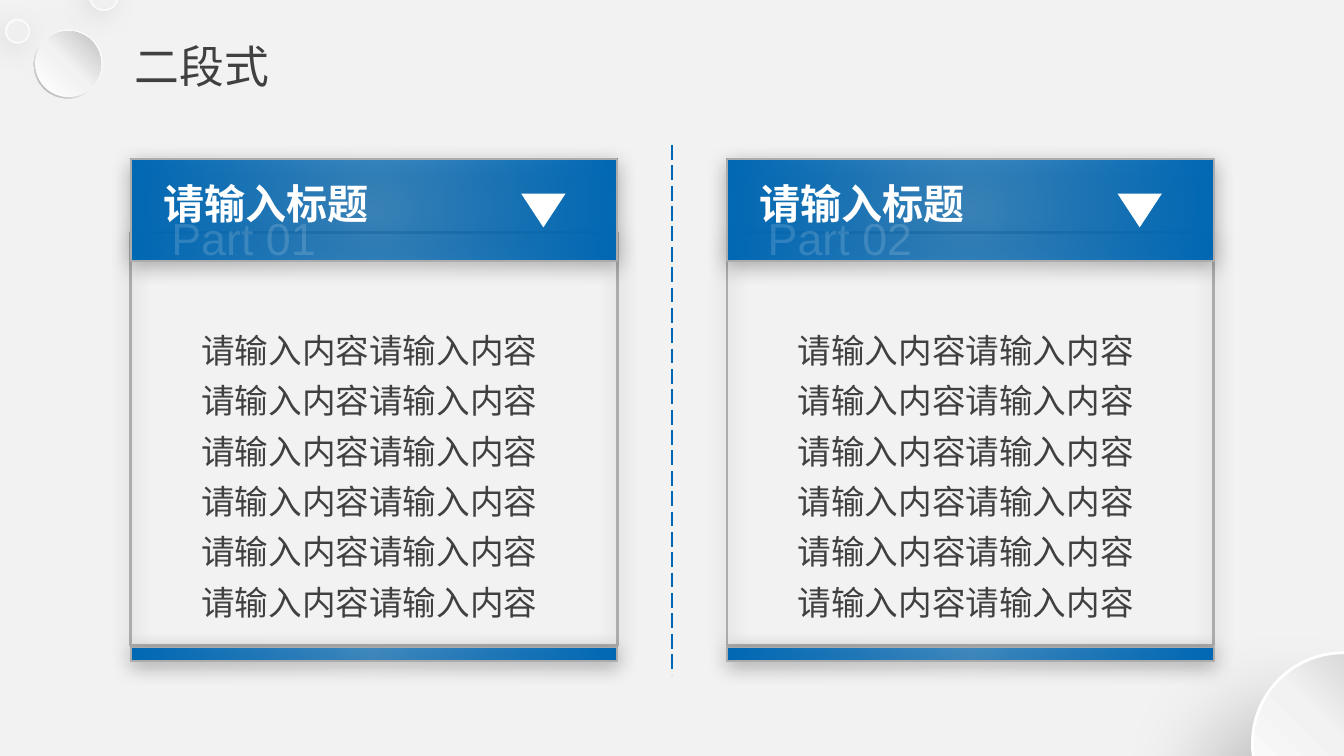
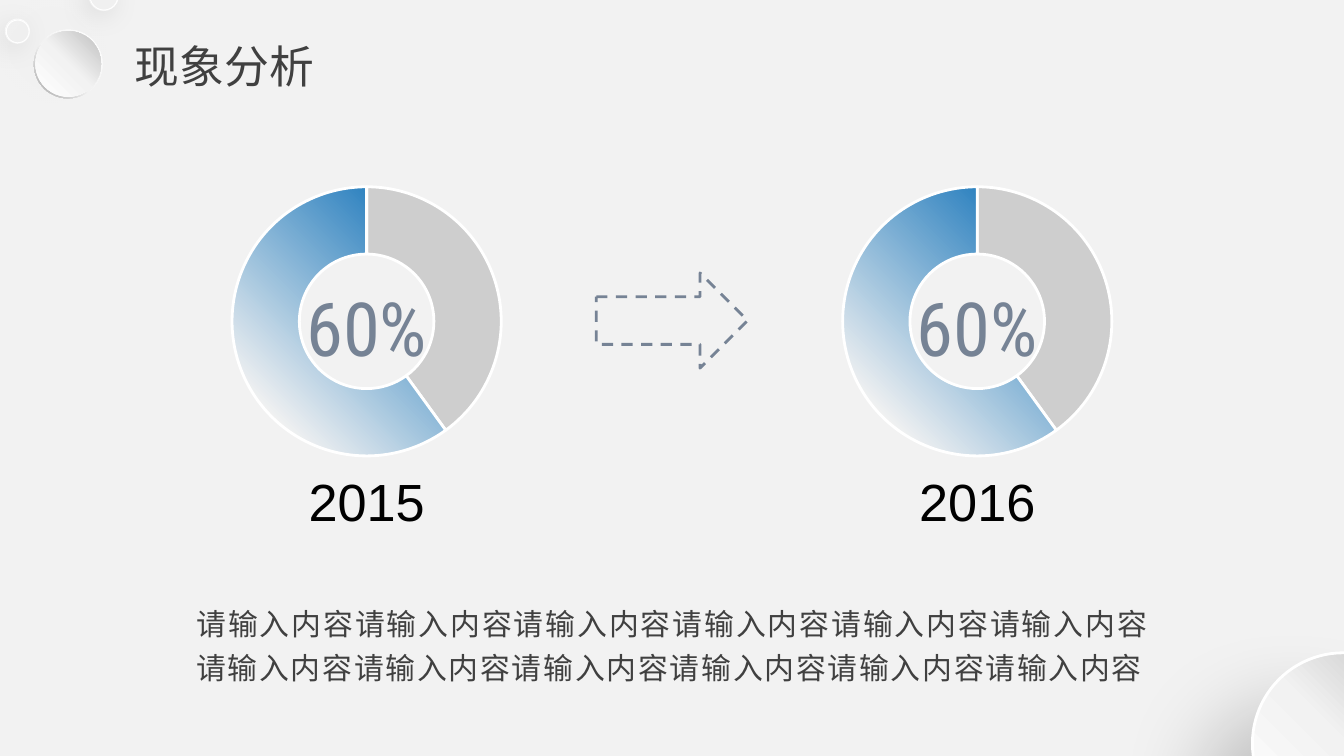
from lxml.etree import SubElement
from pptx import Presentation
from pptx.chart.data import CategoryChartData
from pptx.dml.color import RGBColor
from pptx.enum.chart import XL_CHART_TYPE
from pptx.enum.dml import MSO_LINE
from pptx.enum.shapes import MSO_CONNECTOR, MSO_SHAPE, PP_PLACEHOLDER
from pptx.enum.text import MSO_ANCHOR, MSO_AUTO_SIZE, PP_ALIGN
from pptx.oxml.ns import qn
from pptx.util import Cm, Pt

# Content
FILLER = "请输入内容"
CARDS_TITLE = "二段式"
CARDS = [("请输入标题", "Part 01"), ("请输入标题", "Part 02")]
CARD_LINES = [FILLER * 2] * 6
CHARTS_TITLE = "现象分析"
CHARTS = [("2015", "60%", (40, 60)), ("2016", "60%", (40, 60))]
CHARTS_NOTE = FILLER * 12

# Shared style
LATIN, CHINESE, NUMERAL = "Arial", "Noto Sans CJK SC", "Roboto Condensed"
BLUE, INK, SLATE, EDGE = "0068B4", "404040", "768395", "ACACAC"
WHITE, BLACK, PAPER, PEARL = "FFFFFF", "000000", "F2F2F2", "F0F0F0"

# Gradient stops: position, colour, opacity in percent
BLUE_GLOW = [(0, BLUE, 70), (100, BLUE, 100)]
BLUE_FADE = [(0, WHITE, 100), (16, PAPER, 100), (100, BLUE, 100)]
RIM = [(0, WHITE, 100), (55, PAPER, 100), (100, "A6A6A6", 100)]
DOME = [(0, WHITE, 100), (50, PAPER, 100), (100, "BFBFBF", 100)]
CENTRE, LOWER_LEFT = (50, 50, 50, 50), (0, 100, 100, 0)

# Shadows: opacity, blur, distance, direction
FAR_SHADOW, NEAR_SHADOW, CARD_SHADOW = (20, 45, 40, 135), (10, 15, 4, 135), (30, 11, 3, 90)


def color(value):
    return RGBColor.from_string(value)


def set_opacity(properties, percent):
    for node in list(properties.iter(qn("a:srgbClr"))):
        SubElement(node, qn("a:alpha"), val=str(percent * 1000))


def set_gradient(properties, stops, angle=None, focus=None):
    """Replace the solid fill of a shape or chart point by a gradient."""
    solid = properties.find(qn("a:solidFill"))
    gradient = properties.makeelement(qn("a:gradFill"), {"rotWithShape": "1"})
    properties.replace(solid, gradient)
    stop_list = SubElement(gradient, qn("a:gsLst"))
    for position, value, opacity in stops:
        stop = SubElement(stop_list, qn("a:gs"), pos=str(position * 1000))
        SubElement(stop, qn("a:srgbClr"), val=value)
        if opacity < 100:
            set_opacity(stop, opacity)
    if focus:
        circle = SubElement(gradient, qn("a:path"), path="circle")
        sides = {side: str(part * 1000) for side, part in zip("ltrb", focus)}
        SubElement(circle, qn("a:fillToRect"), sides)
    else:
        SubElement(gradient, qn("a:lin"), ang=str(angle * 60000), scaled="0")


def set_shadow(shape, opacity, blur, distance, direction):
    effects = shape.element.spPr.find(qn("a:effectLst"))
    shadow = SubElement(effects, qn("a:outerShdw"), blurRad=str(Pt(blur)),
                        dist=str(Pt(distance)), dir=str(direction * 60000),
                        algn="ctr", rotWithShape="0")
    SubElement(shadow, qn("a:srgbClr"), val=BLACK)
    set_opacity(shadow, opacity)


def add_figure(page, kind, left, top, width, height, fill=None, stops=None, angle=None,
               focus=None, line=None, weight=1, dash=None, shadow=None):
    shape = page.shapes.add_shape(kind, Cm(left), Cm(top), Cm(width), Cm(height))
    shape.shadow.inherit = False
    if fill or stops:
        shape.fill.solid()
        shape.fill.fore_color.rgb = color(fill or WHITE)
    else:
        shape.fill.background()
    if stops:
        set_gradient(shape.element.spPr, stops, angle, focus)
    if line:
        shape.line.color.rgb = color(line)
        shape.line.width = Pt(weight)
        if dash:
            shape.line.dash_style = dash
    else:
        shape.line.fill.background()
    if shadow:
        set_shadow(shape, *shadow)
    return shape


def write(box, lines, size, font=LATIN, ink=INK, bold=False, align=PP_ALIGN.CENTER,
          spacing=None, tracking=None, opacity=None):
    frame = box.text_frame
    frame.vertical_anchor = MSO_ANCHOR.TOP
    for index, line in enumerate(lines):
        para = frame.add_paragraph() if index else frame.paragraphs[0]
        para.alignment = align
        para.space_before = Pt(0)
        if spacing:
            para.line_spacing = spacing
        span = para.add_run()
        span.text = line
        span.font.name, span.font.size, span.font.bold = font, Pt(size), bold
        span.font.color.rgb = color(ink)
    for properties in list(box.element.iter(qn("a:rPr"))):
        SubElement(properties, qn("a:ea"), typeface=font)
        if tracking:
            properties.set("spc", str(tracking * 100))
        if opacity:
            set_opacity(properties, opacity)


def add_text(page, lines, left, top, width, height, size, wrap=True, **style):
    box = page.shapes.add_textbox(Cm(left), Cm(top), Cm(width), Cm(height))
    box.text_frame.word_wrap = wrap
    box.text_frame.auto_size = MSO_AUTO_SIZE.SHAPE_TO_FIT_TEXT
    write(box, lines, size, **style)
    return box


def add_page(deck, title):
    page = deck.slides.add_slide(deck.slide_layouts[5])
    box = page.shapes.title
    box.left, box.top, box.width, box.height = Cm(2.29), Cm(0.61), Cm(11.6), Cm(1.96)
    box.text_frame.auto_size = MSO_AUTO_SIZE.NONE
    write(box, [title], 24, align=PP_ALIGN.LEFT)
    return page


def decorate_layout(layout, page):
    """Draw the corner bubbles on the page, then hand them to its layout."""
    for holder in list(layout.placeholders):
        if holder.placeholder_format.type != PP_PLACEHOLDER.TITLE:
            layout.shapes.element.remove(holder.element)

    def bubble(kind, left, top, size, **style):
        shape = add_figure(page, kind, left, top, size, size, **style)
        if kind == MSO_SHAPE.DONUT:
            shape.adjustments[0] = 0.05
        layout.shapes.element.append(shape.element)

    pearl = dict(fill=PEARL, line=WHITE, weight=0.5)
    for left, top, size in [(0.1, 0.36, 0.46), (1.68, -0.36, 0.56)]:
        bubble(MSO_SHAPE.DONUT, left, top, size, shadow=FAR_SHADOW, **pearl)
        bubble(MSO_SHAPE.OVAL, left + 0.02, top + 0.02, size - 0.03,
               shadow=NEAR_SHADOW, **pearl)
    bubble(MSO_SHAPE.DONUT, 0.64, 0.56, 1.3, stops=RIM, angle=135)
    bubble(MSO_SHAPE.OVAL, 0.67, 0.59, 1.24, stops=DOME, angle=315)
    bubble(MSO_SHAPE.OVAL, 23.67, 12.34, 3.43, stops=DOME, focus=LOWER_LEFT,
           line=WHITE, weight=1.5, shadow=FAR_SHADOW)


def add_card(page, left, title, part):
    band = dict(stops=BLUE_GLOW, focus=CENTRE, line=EDGE, shadow=CARD_SHADOW)
    add_figure(page, MSO_SHAPE.RECTANGLE, left, 4.4, 9.2, 7.8,
               line=EDGE, weight=1.5, shadow=CARD_SHADOW)
    add_figure(page, MSO_SHAPE.RECTANGLE, left, 3, 9.2, 1.93, **band)
    add_text(page, CARD_LINES, left + 0.47, 5.92, 8.08, 5.64, 18,
             font=CHINESE, spacing=1.25)
    add_figure(page, MSO_SHAPE.RECTANGLE, left, 12.24, 9.2, 0.25, **band)
    add_text(page, [part], left + 0.52, 3.86, 4.3, 1.17, 24, ink=WHITE,
             align=PP_ALIGN.JUSTIFY, opacity=15)
    triangle = add_figure(page, MSO_SHAPE.ISOSCELES_TRIANGLE, left + 7.38, 3.66,
                          0.84, 0.64, fill=WHITE)
    triangle.element.spPr.find(qn("a:xfrm")).set("flipV", "1")
    add_text(page, [title], left + 0.35, 3.25, 4.42, 1.19, 22, wrap=False,
             font=CHINESE, ink=WHITE, bold=True)


def fill_cards_page(page):
    for index, (title, part) in enumerate(CARDS):
        add_card(page, 2.47 + index * 11.27, title, part)
    divider = page.shapes.add_connector(MSO_CONNECTOR.STRAIGHT, Cm(12.7), Cm(2.74),
                                        Cm(12.7), Cm(12.75))
    divider.line.color.rgb = color(BLUE)
    divider.line.width = Pt(1)
    divider.line.dash_style = MSO_LINE.LONG_DASH
    SubElement(divider.element.spPr, qn("a:effectLst"))


def add_doughnut(page, left, top, width, height, values):
    data = CategoryChartData()
    data.categories = ["1", "2"]
    data.add_series("Series 1", values)
    chart = page.shapes.add_chart(XL_CHART_TYPE.DOUGHNUT, Cm(left), Cm(top),
                                  Cm(width), Cm(height), data).chart
    chart.has_legend = chart.has_title = False
    chart.font.name, chart.font.size = LATIN, Pt(10)
    chart.font.color.rgb = color(BLACK)
    plot = chart.plots[0]
    plot.vary_by_categories = True
    plot.has_data_labels = False
    for index in range(len(values)):
        form = plot.series[0].points[index].format
        form.fill.solid()
        form.fill.fore_color.rgb = color(EDGE)
        form.line.color.rgb = color(WHITE)
        form.line.width = Pt(1.5)
    rest, share = [point.find(qn("c:spPr")) for point in chart.element.iter(qn("c:dPt"))]
    set_opacity(rest.find(qn("a:solidFill")), 50)
    set_gradient(share, BLUE_FADE, focus=LOWER_LEFT)
    for hole in chart.element.iter(qn("c:holeSize")):
        hole.set("val", "75")


def fill_charts_page(page):
    for index, (year, percent, values) in enumerate(CHARTS):
        middle = 6.93 + index * 11.54
        add_doughnut(page, middle - 4.34, 3.18, 8.68, 5.79, values)
        add_text(page, [percent], middle - 1.51, 5.21, 3.02, 1.73, 40,
                 font=NUMERAL, ink=SLATE)
        add_text(page, [year], middle - 2.9, 8.74, 5.8, 1.27, 28, ink=BLACK)
    add_figure(page, MSO_SHAPE.RIGHT_ARROW, 11.27, 5.16, 2.86, 1.8,
               line=SLATE, weight=1.5, dash=MSO_LINE.DASH)
    note = add_text(page, [CHARTS_NOTE], 3.71, 11.15, 18.03, 1.96, 16, font=CHINESE,
                    align=PP_ALIGN.JUSTIFY, spacing=1.25, tracking=1)
    note.text_frame.margin_left = note.text_frame.margin_right = 0


def main():
    deck = Presentation()
    deck.slide_width, deck.slide_height = Cm(25.4), Cm(14.29)
    background = deck.slide_master.background.fill
    background.solid()
    background.fore_color.rgb = color(PAPER)

    cards_page = add_page(deck, CARDS_TITLE)
    decorate_layout(cards_page.slide_layout, cards_page)
    fill_cards_page(cards_page)
    fill_charts_page(add_page(deck, CHARTS_TITLE))
    deck.save("out.pptx")


if __name__ == "__main__":
    main()
